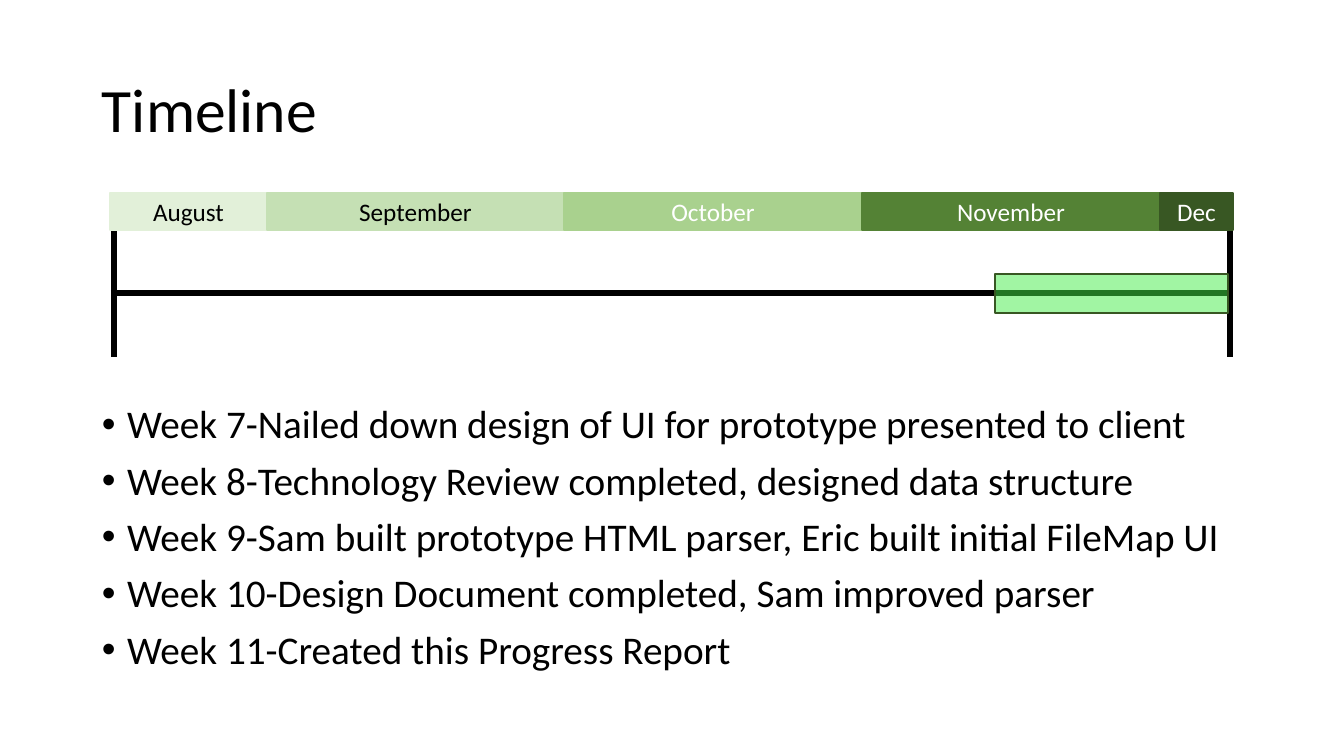
from dataclasses import dataclass
from itertools import pairwise

from lxml.etree import SubElement
from pptx import Presentation
from pptx.dml.color import RGBColor
from pptx.enum.shapes import MSO_CONNECTOR as Connector, MSO_SHAPE as Shape
from pptx.enum.text import MSO_ANCHOR as Anchor, PP_ALIGN as Align
from pptx.oxml.ns import qn
from pptx.util import Emu, Inches, Pt

EMU_PER_PIXEL = 914400 / 100.8


@dataclass(frozen=True)
class Theme:
    """Colours, font and type sizes of the slide."""
    font: str = "Calibri"
    dark: str = "000000"
    light: str = "FFFFFF"
    august: str = "E2F0D9"
    september: str = "C5E0B4"
    october: str = "A9D18E"
    november: str = "548235"
    december: str = "385723"
    progress: str = "44EC48"
    title_size: int = 44
    body_size: int = 28
    month_size: int = 18
    axis_width: float = 4.5


THEME = Theme()
MONTHS = [
    ("August", THEME.august, THEME.dark),
    ("September", THEME.september, THEME.dark),
    ("October", THEME.october, THEME.light),
    ("November", THEME.november, THEME.light),
    ("Dec", THEME.december, THEME.light),
]
MONTH_EDGES = [110, 267, 564, 862, 1160, 1233]
WEEKS = [
    "Week 7-Nailed down design of UI for prototype presented to client",
    "Week 8-Technology Review completed, designed data structure",
    "Week 9-Sam built prototype HTML parser, Eric built initial FileMap UI",
    "Week 10-Design Document completed, Sam improved parser",
    "Week 11-Created this Progress Report",
]


def px(*lengths):
    """Turn picture pixels into EMU."""
    return [Emu(round(length * EMU_PER_PIXEL)) for length in lengths]


def rgb(colour):
    """Return the colour object for a hex string."""
    return RGBColor.from_string(colour)


def write(paragraph, text, size, colour=THEME.dark, align=Align.LEFT,
          line_spacing=None, space_before=0, bullet=None):
    """Fill a paragraph with formatted text."""
    paragraph.alignment = align
    paragraph.line_spacing = line_spacing
    paragraph.space_before = Pt(space_before)
    run = paragraph.add_run()
    run.text = text
    run.font.name = THEME.font
    run.font.size = Pt(size)
    run.font.color.rgb = rgb(colour)
    if bullet:
        properties = paragraph._p.get_or_add_pPr()
        properties.set("marL", str(Inches(0.25)))
        properties.set("indent", str(-Inches(0.25)))
        SubElement(properties, qn("a:buFont")).set("typeface", "Arial")
        SubElement(properties, qn("a:buChar")).set("char", bullet)


def add_text(slide, box, lines, anchor=Anchor.TOP, **text_format):
    """Add a wrapped text box with one paragraph per line."""
    frame = slide.shapes.add_textbox(*px(*box)).text_frame
    frame.word_wrap = True
    frame.vertical_anchor = anchor
    for index, line in enumerate(lines):
        paragraph = frame.add_paragraph() if index else frame.paragraphs[0]
        write(paragraph, line, line_spacing=0.9, **text_format)


def add_line(slide, start, end):
    """Add a thick timeline line without shadow."""
    line = slide.shapes.add_connector(Connector.STRAIGHT, *px(*start, *end))
    line.line.color.rgb = rgb(THEME.dark)
    line.line.width = Pt(THEME.axis_width)
    SubElement(line._element.spPr, qn("a:effectLst"))


def add_bar(slide, box, fill, outline, opacity=None):
    """Add a flat rectangle, optionally see-through."""
    bar = slide.shapes.add_shape(Shape.RECTANGLE, *px(*box))
    bar.shadow.inherit = False
    bar.fill.solid()
    bar.fill.fore_color.rgb = rgb(fill)
    bar.line.color.rgb = rgb(outline)
    bar.line.width = Pt(1)
    if opacity is not None:
        colour = bar._element.spPr.find(qn("a:solidFill"))[0]
        SubElement(colour, qn("a:alpha")).set("val", str(opacity * 1000))
    return bar


def add_month(slide, left, right, name, fill, colour):
    """Add one labelled month of the timeline."""
    frame = add_bar(slide, (left, 193, right - left, 37), fill, fill).text_frame
    frame.vertical_anchor = Anchor.MIDDLE
    write(frame.paragraphs[0], name, THEME.month_size, colour, Align.CENTER)


def main():
    """Build and save the timeline slide."""
    presentation = Presentation()
    presentation.slide_width, presentation.slide_height = px(1344, 756)
    slide = presentation.slides.add_slide(presentation.slide_layouts[6])

    add_text(slide, (92, 40, 1159, 146), ["Timeline"], Anchor.MIDDLE,
             size=THEME.title_size)
    add_text(slide, (92, 400, 1159, 290), WEEKS, size=THEME.body_size,
             space_before=10, bullet="•")

    add_line(slide, (111, 293), (1233, 293))
    for x in (1230, 114):
        add_line(slide, (x, 230), (x, 357))
    for (left, right), month in zip(pairwise(MONTH_EDGES), MONTHS):
        add_month(slide, left, right, *month)
    add_bar(slide, (995, 274, 233, 39), THEME.progress, THEME.december, opacity=50)

    presentation.save("out.pptx")


main()
